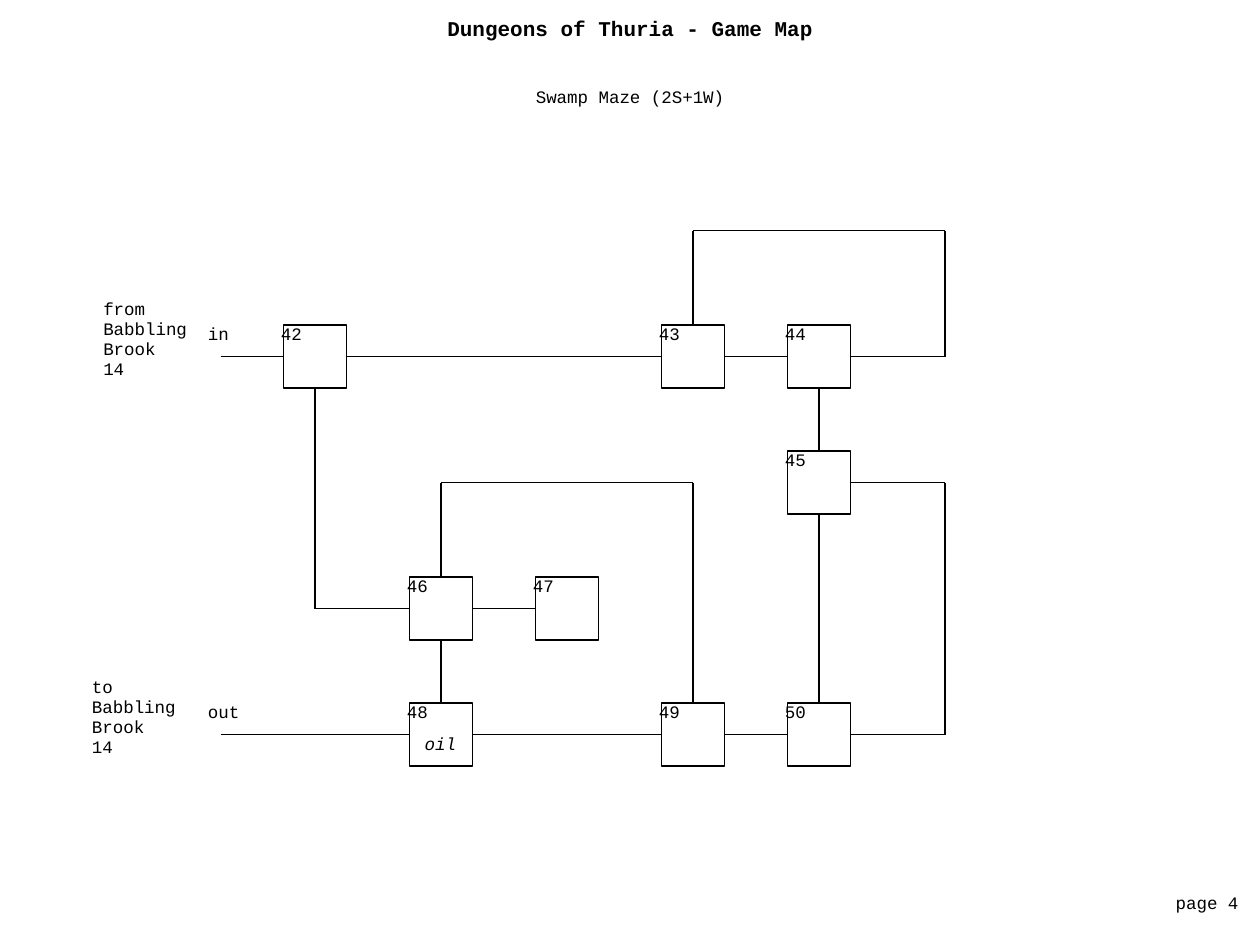
from dataclasses import dataclass

from lxml.etree import SubElement
from pptx import Presentation
from pptx.dml.color import RGBColor
from pptx.enum.shapes import MSO_CONNECTOR, MSO_SHAPE
from pptx.enum.text import PP_ALIGN
from pptx.oxml.ns import qn
from pptx.util import Inches, Pt

COLORS = {"ink": "000000", "paper": "FFFFFF"}
FONT = "Courier New"
ORIGIN_X, ORIGIN_Y = 2.5, 2.83
ROOM_SIZE = 0.5


@dataclass(frozen=True)
class Room:
    number: int
    col: int
    row: int


@dataclass(frozen=True)
class Corridor:
    start: tuple[float, float]
    end: tuple[float, float]


@dataclass(frozen=True)
class Label:
    lines: tuple[str, ...]
    left: float
    top: float
    width: float
    height: float = 0.27
    align: PP_ALIGN = PP_ALIGN.LEFT
    size: int = 10
    bold: bool = False
    italic: bool = False


ROOMS = [
    Room(42, 0, 0), Room(43, 3, 0), Room(44, 4, 0),
    Room(45, 4, 1),
    Room(46, 1, 2), Room(47, 2, 2),
    Room(48, 1, 3), Room(49, 3, 3), Room(50, 4, 3),
]
ROOM_CELLS = {(room.col, room.row) for room in ROOMS}

ROUTES = [
    [(-0.75, 0), (0, 0), (3, 0), (4, 0), (5, 0), (5, -1), (3, -1), (3, 0)],
    [(0, 0), (0, 2), (1, 2), (2, 2)],
    [(-0.75, 3), (1, 3), (3, 3), (4, 3), (5, 3), (5, 1), (4, 1)],
    [(1, 3), (1, 2), (1, 1), (3, 1), (3, 3)],
    [(4, 0), (4, 1), (4, 3)],
]
CORRIDORS = [Corridor(a, b) for route in ROUTES for a, b in zip(route, route[1:])]

PLACE = ("Babbling", "Brook", "14")
LABELS = [
    Label(("Dungeons of Thuria - Game Map",), 3.45, 0.13, 3.1, 0.3,
          PP_ALIGN.CENTER, 12, bold=True),
    Label(("Swamp Maze (2S+1W)",), 4.15, 0.69, 1.7, align=PP_ALIGN.CENTER),
    Label(("out",), 1.65, 5.57, 0.45),
    Label(("in",), 1.65, 2.57, 0.37),
    Label(("to", *PLACE), 0.73, 5.37, 0.87, 0.77),
    Label(("from", *PLACE), 0.82, 2.37, 0.87, 0.77),
    Label(("page 4",), 9.23, 7.08, 0.7, align=PP_ALIGN.CENTER),
    Label(("oil",), 3.27, 5.82, 0.45, align=PP_ALIGN.CENTER, italic=True),
]


def color(name: str) -> RGBColor:
    return RGBColor.from_string(COLORS[name])


def add_label(shapes, label: Label) -> None:
    box = shapes.add_textbox(Inches(label.left), Inches(label.top),
                             Inches(label.width), Inches(label.height))
    tf = box.text_frame
    tf.word_wrap = True
    tf.margin_left = tf.margin_right = tf.margin_bottom = 0
    tf.margin_top = Inches(0.01)
    tf.text = "\n".join(label.lines)
    for p in tf.paragraphs:
        p.alignment = label.align
        p.line_spacing = 0.94
        p.font.name = FONT
        p.font.size = Pt(label.size)
        p.font.bold = label.bold
        p.font.italic = label.italic
        p.font.color.rgb = color("ink")


def add_room(shapes, room: Room) -> None:
    left = ORIGIN_X + room.col - ROOM_SIZE / 2
    top = ORIGIN_Y + room.row - ROOM_SIZE / 2
    group = shapes.add_group_shape()
    sp = group.shapes.add_shape(MSO_SHAPE.ROUNDED_RECTANGLE, Inches(left), Inches(top),
                                Inches(ROOM_SIZE), Inches(ROOM_SIZE))
    sp.adjustments[0] = 0
    sp.shadow.inherit = False
    sp.fill.solid()
    sp.fill.fore_color.rgb = color("paper")
    sp.line.color.rgb = color("ink")
    sp.line.width = Pt(1)
    add_label(group.shapes, Label((str(room.number),), left - 0.02, top - 0.01, 0.37))


def wall_point(cell: tuple[float, float], toward: tuple[float, float]) -> tuple[float, float]:
    reach = ROOM_SIZE / 2 if cell in ROOM_CELLS else 0
    x, y = (c + reach * ((t > c) - (t < c)) for c, t in zip(cell, toward))
    return ORIGIN_X + x, ORIGIN_Y + y


def add_corridor(shapes, corridor: Corridor) -> None:
    ends = (*wall_point(corridor.start, corridor.end),
            *wall_point(corridor.end, corridor.start))
    line = shapes.add_connector(MSO_CONNECTOR.STRAIGHT, *map(Inches, ends))
    line.line.color.rgb = color("ink")
    line.line.width = Pt(1)
    SubElement(line._element.spPr, qn("a:effectLst"))


def main() -> None:
    prs = Presentation()
    prs.slide_width, prs.slide_height = Inches(10), Inches(7.5)
    s = prs.slides.add_slide(prs.slide_layouts[6])
    for corridor in CORRIDORS:
        add_corridor(s.shapes, corridor)
    for room in ROOMS:
        add_room(s.shapes, room)
    for label in LABELS:
        add_label(s.shapes, label)
    prs.save("out.pptx")


if __name__ == "__main__":
    main()
